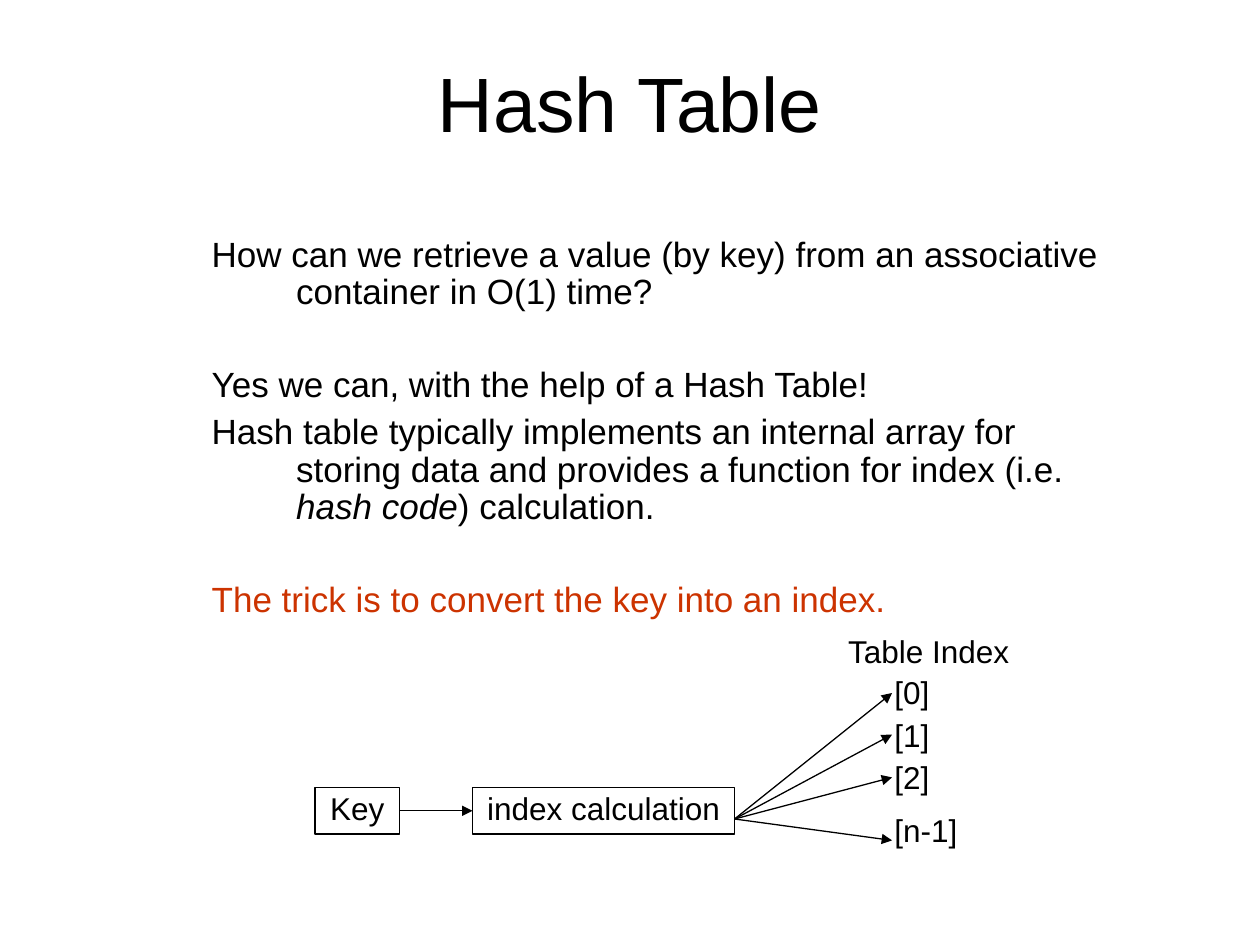
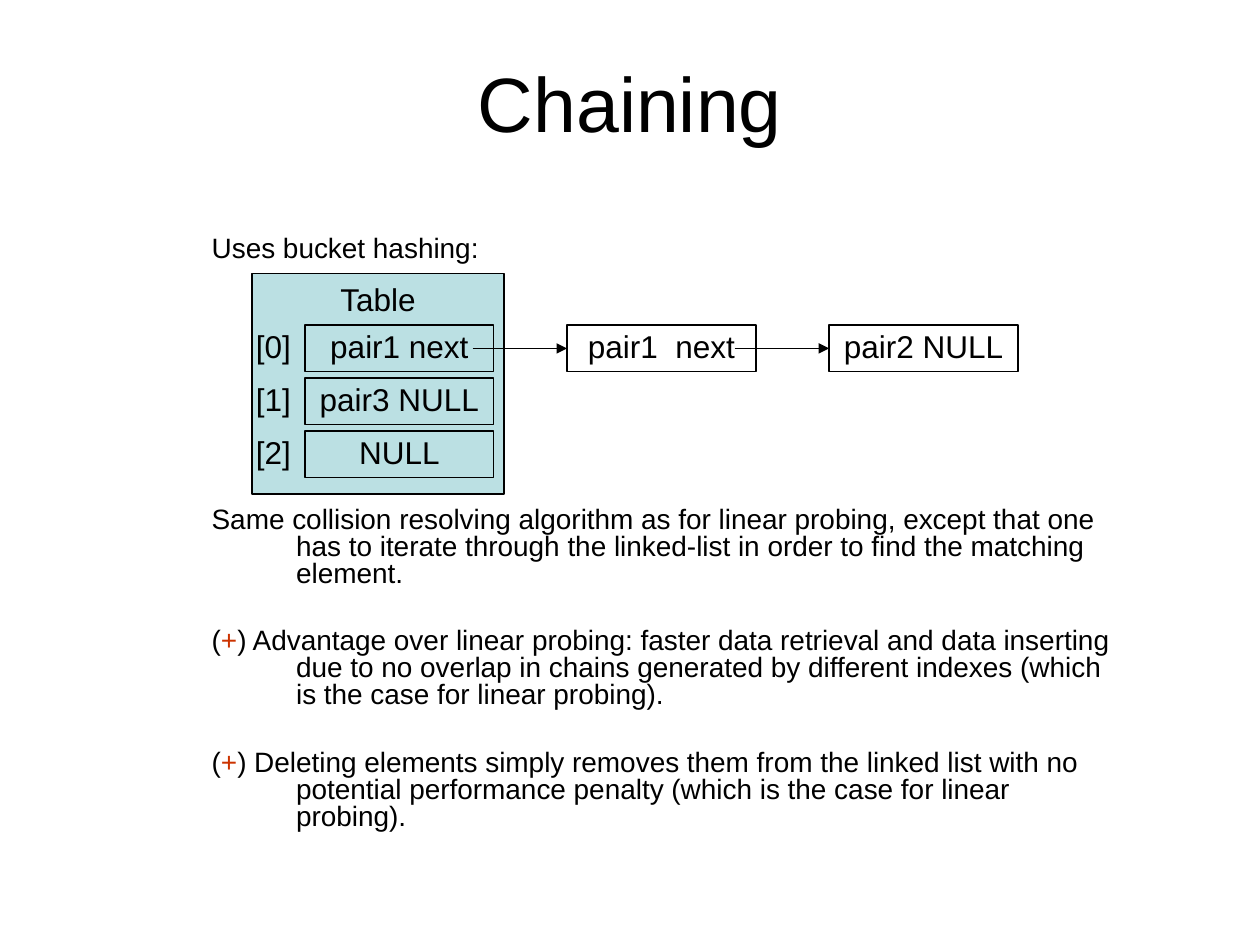
from dataclasses import dataclass

from lxml.etree import SubElement
from pptx import Presentation
from pptx.dml.color import RGBColor
from pptx.enum.shapes import MSO_CONNECTOR, MSO_SHAPE
from pptx.enum.text import MSO_ANCHOR, MSO_AUTO_SIZE, PP_ALIGN
from pptx.oxml.ns import qn
from pptx.util import Inches, Pt


@dataclass(frozen=True)
class Theme:
    font: str = "Arial"
    ink: RGBColor = RGBColor(0x00, 0x00, 0x00)
    accent: RGBColor = RGBColor(0xCC, 0x33, 0x00)
    table_fill: RGBColor = RGBColor(0xBB, 0xE0, 0xE3)
    title_size: float = 44
    label_size: float = 18
    line_width: float = 0.75


THEME = Theme()
LABEL_HEIGHT = 0.37
HANGING = Inches(0.67)


# Text helpers
def style(paragraph, size, align=PP_ALIGN.LEFT, spacing=1.0, color=THEME.ink):
    paragraph.alignment = align
    paragraph.line_spacing = spacing
    font = paragraph.font
    font.name, font.size = THEME.font, Pt(size)
    font.color.rgb = color


def place(shape, left, top, width, height):
    shape.left, shape.top = Inches(left), Inches(top)
    shape.width, shape.height = Inches(width), Inches(height)


def add_topic(prs, heading):
    """Add a slide with its centred heading; return it."""
    slide = prs.slides.add_slide(prs.slide_layouts[0])
    title = slide.shapes.title
    place(title, 0, 0, 10, 1.61)
    frame = title.text_frame
    frame.vertical_anchor = MSO_ANCHOR.MIDDLE
    frame.auto_size = MSO_AUTO_SIZE.NONE
    frame.text = heading
    style(frame.paragraphs[0], THEME.title_size, PP_ALIGN.CENTER)
    return slide


def fill_body(slide, size, spacing, statements):
    """Write statements given as (space before, colour, runs); a run is (text, mark)."""
    body = slide.placeholders[1]
    place(body, 1.58, 1.83, 7.42, 5)
    frame = body.text_frame
    frame.word_wrap = True
    frame.auto_size = MSO_AUTO_SIZE.NONE
    frame.vertical_anchor = MSO_ANCHOR.TOP
    for number, (space_before, color, runs) in enumerate(statements):
        paragraph = frame.add_paragraph() if number else frame.paragraphs[0]
        indents = paragraph._p.get_or_add_pPr()
        indents.set("marL", str(HANGING))
        indents.set("indent", str(-HANGING))
        style(paragraph, size, spacing=spacing, color=color)
        paragraph.space_before = Pt(space_before)
        for text, mark in runs:
            run = paragraph.add_run()
            run.text = text
            if mark == "italic":
                run.font.italic = True
            elif mark == "accent":
                run.font.color.rgb = THEME.accent


# Diagram helpers
def add_label(slide, text, left, top, width, align=PP_ALIGN.CENTER):
    label = slide.shapes.add_textbox(
        Inches(left), Inches(top), Inches(width), Inches(LABEL_HEIGHT))
    label.text_frame.word_wrap = True
    label.text_frame.text = text
    style(label.text_frame.paragraphs[0], THEME.label_size, align, 0.9)


def add_box(slide, text, left, top, width, height=LABEL_HEIGHT, fill=None, spacing=0.9):
    box = slide.shapes.add_shape(
        MSO_SHAPE.RECTANGLE, Inches(left), Inches(top), Inches(width), Inches(height))
    box.shadow.inherit = False
    if fill is None:
        box.fill.background()
    else:
        box.fill.solid()
        box.fill.fore_color.rgb = fill
    box.line.color.rgb = THEME.ink
    box.line.width = Pt(THEME.line_width)
    frame = box.text_frame
    frame.word_wrap = True
    frame.vertical_anchor = MSO_ANCHOR.TOP
    frame.text = text
    style(frame.paragraphs[0], THEME.label_size, PP_ALIGN.CENTER, spacing)
    return box


def add_arrow(slide, start, end):
    arrow = slide.shapes.add_connector(MSO_CONNECTOR.STRAIGHT, *start, *end)
    arrow.line.color.rgb = THEME.ink
    arrow.line.width = Pt(THEME.line_width)
    SubElement(arrow.line._get_or_add_ln(), qn("a:tailEnd"), type="triangle")
    SubElement(arrow._element.spPr, qn("a:effectLst"))
    return arrow


def middle(box):
    return box.top + box.height // 2


def add_next_pointer(slide, node, successor):
    """Point from the 'next' field inside a node to the following node."""
    start = node.left + node.width - Inches(0.17), middle(node)
    arrow = add_arrow(slide, start, (successor.left, middle(successor)))
    arrow.end_connect(successor, 1)


# Slides
def build_hash_table(prs):
    slide = add_topic(prs, "Hash Table")
    after_gap, close = 31.5, 5
    fill_body(slide, 20, 0.9, [
        (0, THEME.ink, [("How can we retrieve a value (by key) from an associative "
                         "container in O(1) time?", None)]),
        (after_gap, THEME.ink, [("Yes we can, with the help of a Hash Table!", None)]),
        (close, THEME.ink, [
            ("Hash table typically implements an internal array for storing data "
             "and provides a function for index (i.e. ", None),
            ("hash code", "italic"),
            (") calculation.", None)]),
        (after_gap, THEME.accent, [("The trick is to convert the key into an index.", None)]),
    ])

    # Key to index calculation
    key = add_box(slide, "Key", 2.5, 6.25, 0.67)
    calculation = add_box(slide, "index calculation", 3.75, 6.25, 2.08)
    feed = add_arrow(slide, (key.left + key.width, middle(key)),
                     (calculation.left, middle(calculation)))
    feed.begin_connect(key, 3)
    feed.end_connect(calculation, 1)

    # Fan of arrows to the table indexes
    add_label(slide, "Table Index", 6.33, 5, 2.08)
    fan_origin = Inches(5.83), Inches(6.5)
    for index, top, width, arrow_end in [
        ("[0]", 5.33, 0.58, 5.5),
        ("[1]", 5.67, 0.58, 5.83),
        ("[2]", 6, 0.58, 6.17),
        ("[n-1]", 6.42, 0.75, 6.67),
    ]:
        add_label(slide, index, 7, top, width, PP_ALIGN.LEFT)
        add_arrow(slide, fan_origin, (Inches(7.08), Inches(arrow_end)))


def build_chaining(prs):
    slide = add_topic(prs, "Chaining")
    after_diagram, after_gap = 139.5, 23.4
    fill_body(slide, 16, 0.8, [
        (0, THEME.ink, [("Uses bucket hashing:", None)]),
        (after_diagram, THEME.ink, [
            ("Same collision resolving algorithm as for linear probing, except that one "
             "has to iterate through the linked-list in order to find the matching "
             "element.", None)]),
        *((after_gap, THEME.ink, [("(", None), ("+", "accent"), (") " + advantage, None)])
          for advantage in (
              "Advantage over linear probing: faster data retrieval and data inserting "
              "due to no overlap in chains generated by different indexes (which is the "
              "case for linear probing).",
              "Deleting elements simply removes them from the linked list with no "
              "potential performance penalty (which is the case for linear probing).")),
    ])

    # Table with its buckets
    add_box(slide, "Table", 2, 2.17, 2, 1.75, THEME.table_fill, spacing=1.0)
    first_row, row_pitch, node_width = 2.58, 0.42, 1.5
    buckets = []
    for row, content in enumerate(["pair1 next", "pair3 NULL", "NULL"]):
        top = first_row + row * row_pitch
        add_label(slide, f"[{row}]", 1.92, top, 0.5)
        buckets.append(add_box(slide, content, 2.42, top, node_width))

    # Linked list hanging off the first bucket
    chain = [buckets[0],
             add_box(slide, "pair1  next", 4.5, first_row, node_width),
             add_box(slide, "pair2 NULL", 6.58, first_row, node_width)]
    for node, successor in zip(chain, chain[1:]):
        add_next_pointer(slide, node, successor)


def main():
    prs = Presentation()
    prs.slide_width, prs.slide_height = Inches(10), Inches(7.5)
    build_hash_table(prs)
    build_chaining(prs)
    prs.save("out.pptx")


if __name__ == "__main__":
    main()
